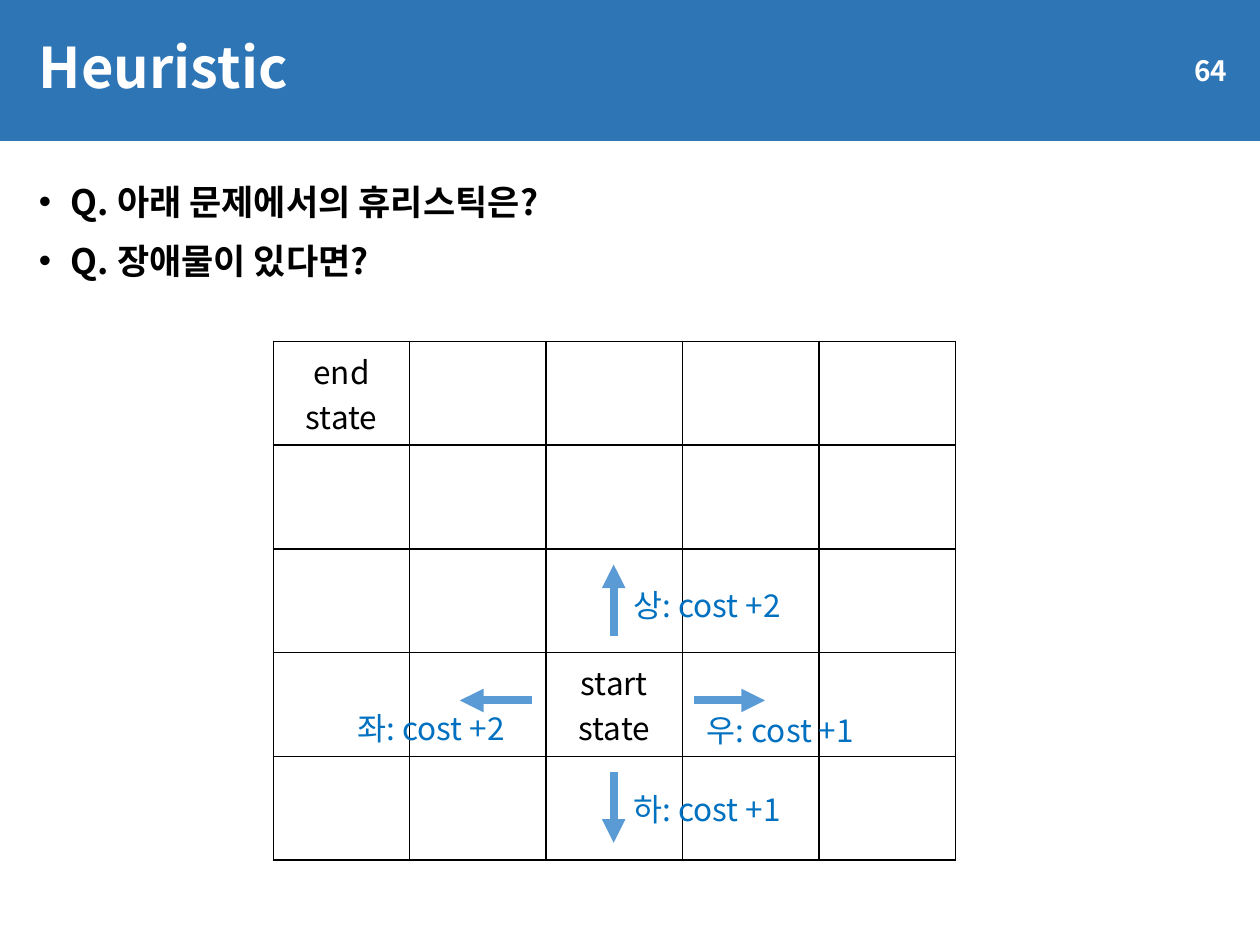
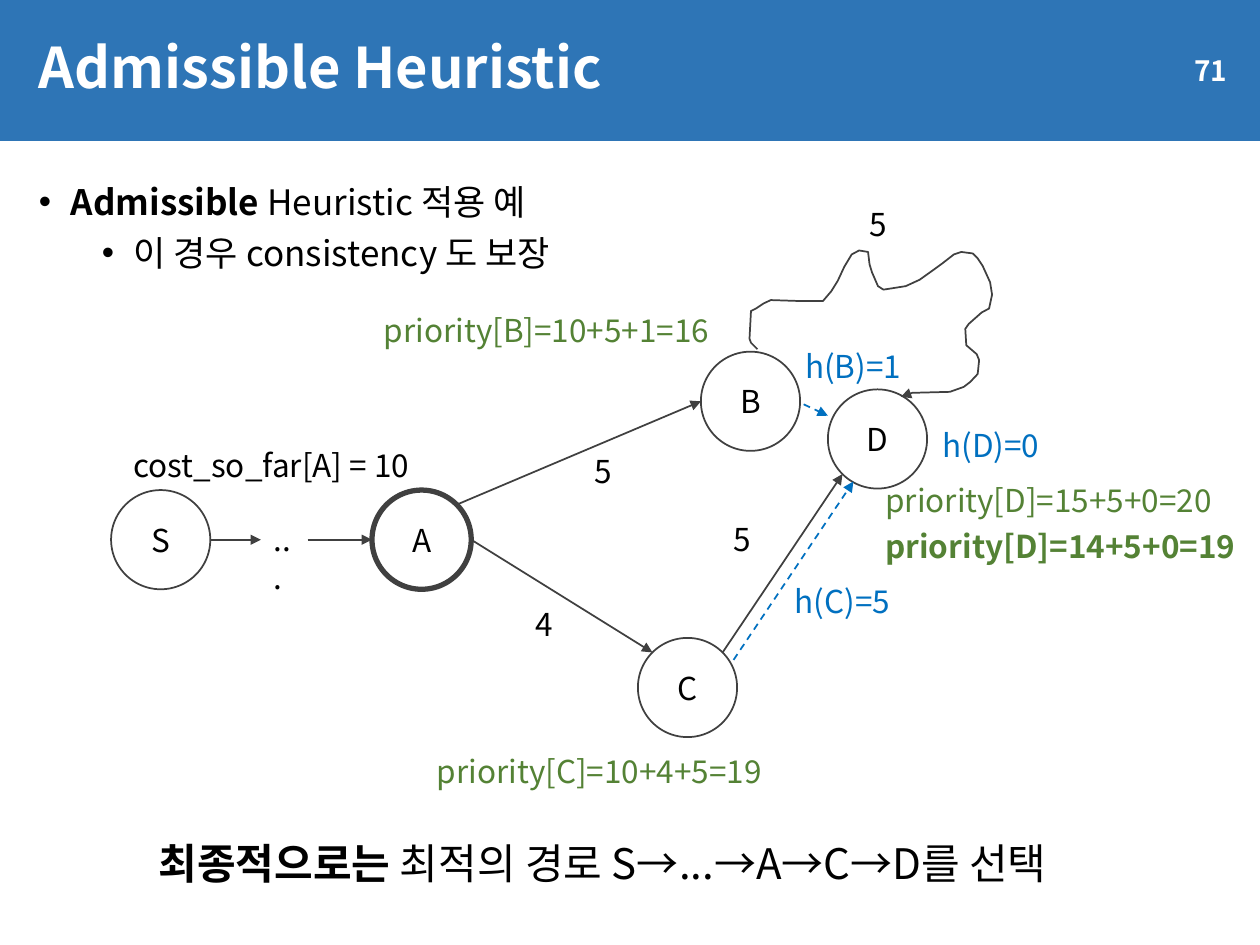
from dataclasses import dataclass

from pptx import Presentation
from pptx.dml.color import RGBColor
from pptx.enum.dml import MSO_LINE
from pptx.enum.shapes import MSO_CONNECTOR, MSO_SHAPE
from pptx.enum.text import MSO_ANCHOR, MSO_AUTO_SIZE, PP_ALIGN
from pptx.oxml.ns import qn
from pptx.util import Cm, Pt
from lxml import etree

LEFT, CENTER, RIGHT = PP_ALIGN.LEFT, PP_ALIGN.CENTER, PP_ALIGN.RIGHT
MIDDLE, TOP = MSO_ANCHOR.MIDDLE, MSO_ANCHOR.TOP
NO_FIT, GROW = MSO_AUTO_SIZE.NONE, MSO_AUTO_SIZE.SHAPE_TO_FIT_TEXT
RECTANGLE, OVAL = MSO_SHAPE.RECTANGLE, MSO_SHAPE.OVAL
STRAIGHT, DASH = MSO_CONNECTOR.STRAIGHT, MSO_LINE.DASH


@dataclass(frozen=True)
class Theme:
    font: str = "Noto Sans CJK KR"
    band: str = "2E75B6"
    white: str = "FFFFFF"
    ink: str = "000000"
    edge: str = "404040"
    move: str = "5B9BD5"
    estimate: str = "0070C0"
    priority: str = "548235"
    title_size: int = 32
    conclusion_size: int = 24
    body_size: int = 20
    label_size: int = 18
    number_size: int = 16


THEME = Theme()
SLIDE_SIZE = (25.4, 19.05)
NODE_RADIUS = 1.0
DIAGONAL = 0.707

GRID_CELLS = 5
CELL_SIZE = (2.75, 2.09)

# Arrow start, arrow end, label text, label position
MOVES = [
    ((10.72, 14.12), (9.27, 14.12), "좌: cost +2", (6.96, 14.17)),
    ((12.37, 12.83), (12.37, 11.38), "상: cost +2", (12.52, 11.68)),
    ((14.0, 14.12), (15.42, 14.12), "우: cost +1", (14.0, 14.2)),
    ((12.37, 15.57), (12.37, 16.99), "하: cost +1", (12.52, 15.8)),
]

NODES = {
    "S": (3.24, 10.88),
    "A": (8.5, 10.88),
    "B": (15.13, 8.09),
    "C": (13.86, 13.86),
    "D": (17.69, 8.85),
}

# Text, left, top, width, colour
GRAPH_LABELS = [
    ("5", 11.73, 8.99, 0.86, THEME.ink),
    ("4", 10.54, 12.07, 0.86, THEME.ink),
    ("5", 14.53, 10.36, 0.86, THEME.ink),
    ("5", 17.27, 4.01, 0.86, THEME.ink),
    ("cost_so_far[A] = 10", 2.44, 8.86, 6.1, THEME.ink),
    ("h(B)=1", 15.98, 6.88, 2.5, THEME.estimate),
    ("h(C)=5", 15.77, 11.61, 2.5, THEME.estimate),
    ("h(D)=0", 18.75, 8.46, 2.5, THEME.estimate),
    ("priority[B]=10+5+1=16", 7.49, 6.15, 7.3, THEME.priority),
    ("priority[C]=10+4+5=19", 8.56, 15.04, 7.3, THEME.priority),
    ("priority[D]=15+5+0=20", 17.6, 9.58, 7.3, THEME.priority),
]

DETOUR = [
    (15.27, 7.04), (15.14, 6.91), (15.11, 6.83), (15.14, 6.27), (15.24, 6.22),
    (15.39, 6.12), (15.54, 6.05), (16.15, 6.07), (16.59, 6.07), (16.76, 5.87),
    (16.89, 5.66), (17.02, 5.38), (17.17, 5.13), (17.32, 5.05), (17.5, 5.08),
    (17.53, 5.33), (17.58, 5.49), (17.7, 5.77), (17.81, 5.84), (18.26, 5.77),
    (18.54, 5.64), (18.82, 5.44), (19.0, 5.31), (19.23, 5.13), (19.38, 5.08),
    (19.61, 5.11), (19.71, 5.21), (19.81, 5.36), (19.96, 5.69), (20.0, 5.94),
    (19.94, 6.22), (19.79, 6.3), (19.53, 6.53), (19.46, 6.63), (19.48, 6.96),
    (19.69, 7.14), (19.74, 7.26), (19.71, 7.54), (19.56, 7.7), (19.43, 7.8),
    (19.15, 7.9), (18.39, 7.92), (18.16, 8.0),
]


def rgb(color):
    return RGBColor.from_string(color)


def cm_all(*lengths):
    return [Cm(length) for length in lengths]


def write(paragraph, text, size=THEME.label_size, color=THEME.ink, bold=False, align=LEFT):
    """Append a formatted run, with the font set for Latin and Korean alike."""
    paragraph.alignment = align
    run = paragraph.add_run()
    run.text = text
    run.font.name = THEME.font
    run.font.size = Pt(size)
    run.font.bold = bold
    run.font.color.rgb = rgb(color)
    etree.SubElement(run.font._element, qn("a:ea"), typeface=THEME.font)


def set_bullet(paragraph, level):
    paragraph.level = level
    properties = paragraph._p.get_or_add_pPr()
    properties.set("marL", str(Cm(0.64 + 1.27 * level)))
    properties.set("indent", str(Cm(-0.64)))
    etree.SubElement(properties, qn("a:buFont"), typeface="Arial")
    etree.SubElement(properties, qn("a:buChar"), char="•")


def add_filled(slide, kind, box, fill, outline=None, weight=1):
    shape = slide.shapes.add_shape(kind, *cm_all(*box))
    shape.shadow.inherit = False
    shape.fill.solid()
    shape.fill.fore_color.rgb = rgb(fill)
    if outline:
        shape.line.color.rgb = rgb(outline)
        shape.line.width = Pt(weight)
    else:
        shape.line.fill.background()
    shape.text_frame.vertical_anchor = MIDDLE
    return shape


def add_label(slide, text, left, top, width, wrap=False, height=1.02, **style):
    box = slide.shapes.add_textbox(*cm_all(left, top, width, height))
    box.text_frame.word_wrap = wrap
    box.text_frame.auto_size = NO_FIT if wrap else GROW
    paragraph = box.text_frame.paragraphs[0]
    write(paragraph, text, **style)
    return paragraph


def style_arrow(line, color, weight):
    line.color.rgb = rgb(color)
    line.width = Pt(weight)
    etree.SubElement(line._get_or_add_ln(), qn("a:tailEnd"), type="triangle")


def add_arrow(slide, start, end, color=THEME.edge, weight=1, dashed=False):
    arrow = slide.shapes.add_connector(STRAIGHT, *cm_all(*start, *end))
    if dashed:
        arrow.line.dash_style = DASH
    style_arrow(arrow.line, color, weight)
    etree.SubElement(arrow._element.spPr, qn("a:effectLst"))


def add_curve_arrow(slide, points):
    start, *others = [cm_all(*point) for point in points]
    builder = slide.shapes.build_freeform(*start)
    builder.add_line_segments(others, close=False)
    curve = builder.convert_to_shape()
    curve.shadow.inherit = False
    curve.fill.background()
    style_arrow(curve.line, THEME.edge, 1)


def add_node(slide, name, weight=1):
    x, y = NODES[name]
    box = (x - NODE_RADIUS, y - NODE_RADIUS, 2 * NODE_RADIUS, 2 * NODE_RADIUS)
    node = add_filled(slide, OVAL, box, THEME.white, THEME.edge, weight)
    write(node.text_frame.paragraphs[0], name, align=CENTER)


def rim(name, across, down):
    """Point on a node's rim, in the direction (across, down)."""
    x, y = NODES[name]
    return x + NODE_RADIUS * across, y + NODE_RADIUS * down


def place(placeholder, box, anchor):
    placeholder.left, placeholder.top, placeholder.width, placeholder.height = cm_all(*box)
    frame = placeholder.text_frame
    frame.word_wrap = True
    frame.auto_size = NO_FIT
    frame.vertical_anchor = anchor
    return frame


def add_band(presentation, layout):
    """Put the title band on the layout, behind its placeholders."""
    draft = presentation.slides[0]
    band = add_filled(draft, RECTANGLE, (0, 0, SLIDE_SIZE[0], 2.84), THEME.band)
    layout.shapes._spTree.insert(2, band._element)


def add_slide(presentation, layout, title, number, bullets):
    """Start a slide; bullets is a list of (level, [(text, bold), ...])."""
    slide = presentation.slides.add_slide(layout)
    heading, body = slide.placeholders
    heading.fill.solid()
    heading.fill.fore_color.rgb = rgb(THEME.band)
    title_line = place(heading, (0.53, 0.33, 24.43, 2.16), MIDDLE).paragraphs[0]
    title_line.line_spacing = 0.9
    write(title_line, title, size=THEME.title_size, color=THEME.white, bold=True)

    frame = place(body, (0.53, 3.51, 24.43, 15.14), TOP)
    for index, (level, parts) in enumerate(bullets):
        paragraph = frame.add_paragraph() if index else frame.paragraphs[0]
        set_bullet(paragraph, level)
        paragraph.line_spacing = 1.0
        paragraph.space_before = Pt((5 if level else 10) if index else 0)
        for text, bold in parts:
            write(paragraph, text, size=THEME.body_size, bold=bold)

    page = add_filled(slide, RECTANGLE, (21.56, 0.91, 3.43, 1.02), THEME.band)
    write(page.text_frame.paragraphs[0], number, size=THEME.number_size,
          color=THEME.white, bold=True, align=RIGHT)
    return slide


def set_borders(cell):
    properties = cell._tc.get_or_add_tcPr()
    for index, side in enumerate(("a:lnL", "a:lnR", "a:lnT", "a:lnB")):
        border = etree.Element(qn(side), w=str(Pt(1)))
        fill = etree.SubElement(border, qn("a:solidFill"))
        etree.SubElement(fill, qn("a:srgbClr"), val=THEME.ink)
        properties.insert(index, border)


def add_state_grid(slide, left, top, states):
    """Draw the square grid; states maps (row, column) to lines of text."""
    width, height = (size * GRID_CELLS for size in CELL_SIZE)
    grid = slide.shapes.add_table(GRID_CELLS, GRID_CELLS, *cm_all(left, top, width, height)).table
    grid.first_row = grid.horz_banding = False
    for column in grid.columns:
        column.width = Cm(CELL_SIZE[0])
    for row in grid.rows:
        row.height = Cm(CELL_SIZE[1])
    for cell in grid.iter_cells():
        cell.fill.background()
        cell.vertical_anchor = MIDDLE
        set_borders(cell)
    for position, lines in states.items():
        frame = grid.cell(*position).text_frame
        for index, line in enumerate(lines):
            paragraph = frame.add_paragraph() if index else frame.paragraphs[0]
            write(paragraph, line, align=CENTER)


def build_heuristic(presentation, layout):
    slide = add_slide(presentation, layout, "Heuristic", "64", [
        (0, [("Q. 아래 문제에서의 휴리스틱은?", True)]),
        (0, [("Q. 장애물이 있다면?", True)]),
    ])
    add_state_grid(slide, 5.51, 6.88, {(0, 0): ["end state"], (3, 2): ["start", "state"]})
    for start, end, cost, (left, top) in MOVES:
        add_arrow(slide, start, end, color=THEME.move, weight=4.5)
        add_label(slide, cost, left, top, 3.73, color=THEME.estimate)


def build_admissible(presentation, layout):
    slide = add_slide(presentation, layout, "Admissible Heuristic", "71", [
        (0, [("Admissible", True), (" Heuristic 적용 예", False)]),
        (1, [("이 경우 consistency 도 보장", False)]),
    ])
    for name in NODES:
        add_node(slide, name, weight=3 if name == "A" else 1)

    dots_left, dots_width, row = 5.26, 0.94, NODES["S"][1]
    add_label(slide, "...", dots_left, 10.36, dots_width, wrap=True)
    c_exit, d_entry = rim("C", DIAGONAL, -DIAGONAL), rim("D", -DIAGONAL, DIAGONAL)
    for start, end in [
        (rim("S", 1, 0), (dots_left, row)),
        ((dots_left + dots_width, row), rim("A", -1, 0)),
        (rim("A", DIAGONAL, -DIAGONAL), rim("B", -1, 0)),
        (rim("A", 1, 0), rim("C", -DIAGONAL, -DIAGONAL)),
        (c_exit, d_entry),
    ]:
        add_arrow(slide, start, end)
    add_curve_arrow(slide, DETOUR)

    beside = [(x + 0.22, y + 0.15) for x, y in (c_exit, d_entry)]
    for start, end in [beside, ((16.2, 8.15), (16.69, 8.38))]:
        add_arrow(slide, start, end, color=THEME.estimate, dashed=True)

    for text, left, top, width, color in GRAPH_LABELS:
        add_label(slide, text, left, top, width, color=color)
    add_label(slide, "priority[D]=14+5+0=19", 17.6, 10.49, 7.77,
              color=THEME.priority, bold=True)
    conclusion = add_label(slide, "최종적으로는", 2.95, 16.76, 19.79, height=1.27,
                           size=THEME.conclusion_size, bold=True)
    write(conclusion, " 최적의 경로 S→...→A→C→D를 선택", size=THEME.conclusion_size)


def main():
    presentation = Presentation()
    presentation.slide_width, presentation.slide_height = cm_all(*SLIDE_SIZE)
    layout = presentation.slide_layouts[1]
    build_heuristic(presentation, layout)
    build_admissible(presentation, layout)
    add_band(presentation, layout)
    presentation.save("out.pptx")


if __name__ == "__main__":
    main()
